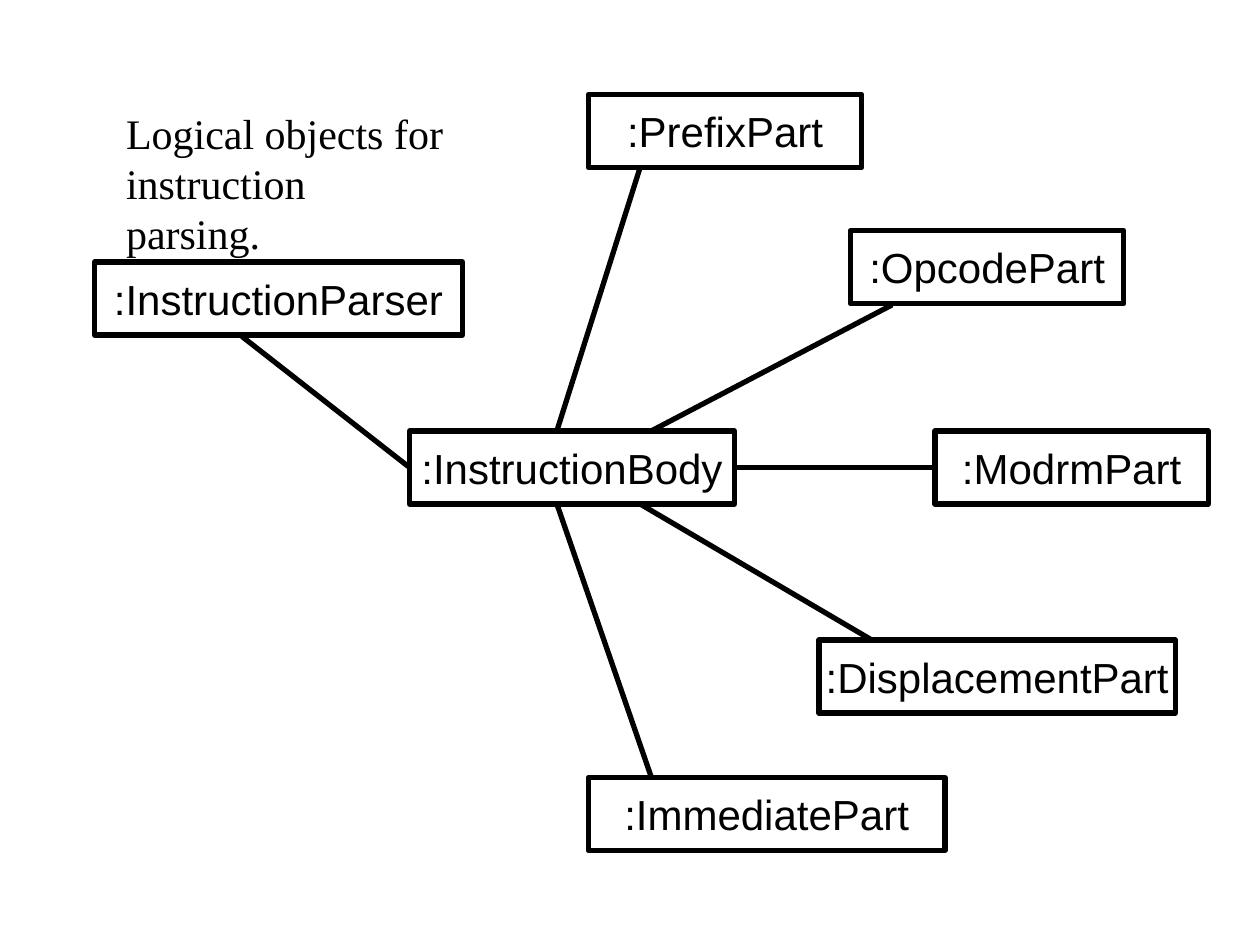
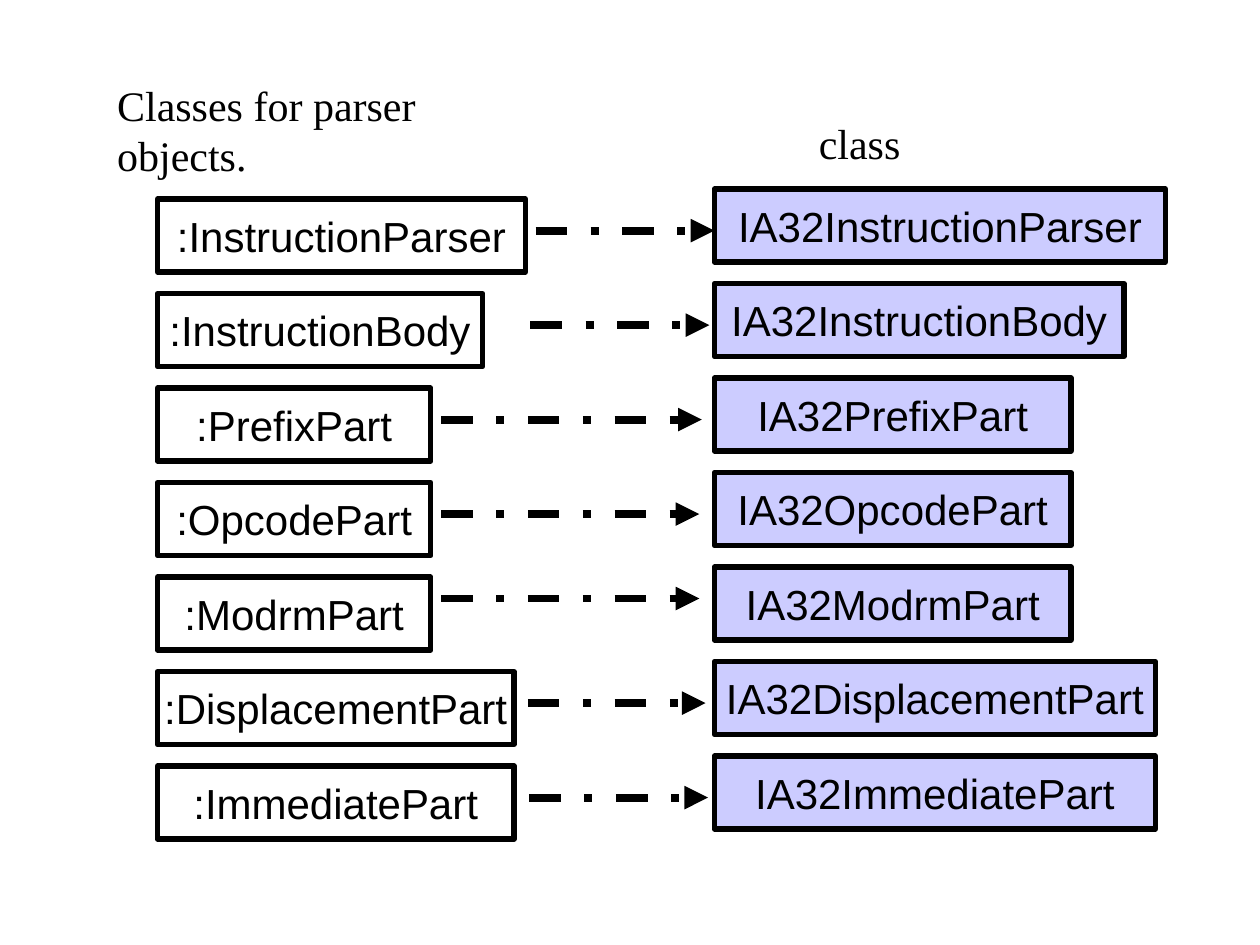
"""Build two slides on the objects and classes of an instruction parser."""
from dataclasses import dataclass

from lxml import etree
from pptx import Presentation
from pptx.dml.color import RGBColor
from pptx.enum import dml, shapes, text
from pptx.oxml import ns
from pptx.util import Inches, Pt


@dataclass(frozen=True)
class Theme:
    """Colours, fonts and sizes that the slides share."""
    ink: RGBColor = RGBColor(0, 0, 0)
    plain: RGBColor = RGBColor(255, 255, 255)
    tint: RGBColor = RGBColor(0xCC, 0xCC, 0xFF)
    sans: str = "Arial"
    serif: str = "Times New Roman"
    size: float = 24
    edge: float = 3
    dash: float = 4.5
    high: float = 0.58


LOOK = Theme()
TOP, LEFT, BOTTOM, RIGHT = range(4)


def write(frame, words, font=LOOK.serif, align=text.PP_ALIGN.LEFT,
          anchor=text.MSO_ANCHOR.TOP):
    """Fill a text frame with one paragraph for each line of words."""
    frame.word_wrap = False
    frame.auto_size = text.MSO_AUTO_SIZE.NONE
    frame.vertical_anchor = anchor
    frame.text = words
    for para in frame.paragraphs:
        para.alignment = align
        para.font.name = font
        para.font.size = Pt(LOOK.size)
        para.font.color.rgb = LOOK.ink


def start(deck, words, *place):
    """Add a slide with its title at the given place."""
    slide = deck.slides.add_slide(deck.slide_layouts[5])
    title = slide.shapes.title
    title.left, title.top, title.width, title.height = map(Inches, place)
    write(title.text_frame, words)
    return slide


def label(slide, words, *place):
    """Add a free text label."""
    write(slide.shapes.add_textbox(*map(Inches, place)).text_frame, words)


def box(slide, words, left, top, width, fill=LOOK.plain):
    """Add an outlined box with a centred name."""
    shape = slide.shapes.add_shape(
        shapes.MSO_SHAPE.RECTANGLE,
        *map(Inches, (left, top, width, LOOK.high)))
    shape.shadow.inherit = False
    shape.fill.solid()
    shape.fill.fore_color.rgb = fill
    shape.line.color.rgb = LOOK.ink
    shape.line.width = Pt(LOOK.edge)
    write(shape.text_frame, words, font=LOOK.sans,
          align=text.PP_ALIGN.CENTER, anchor=text.MSO_ANCHOR.MIDDLE)
    return shape


def link(slide, x1, y1, x2, y2, width=LOOK.edge):
    """Add a straight line without a shadow."""
    line = slide.shapes.add_connector(
        shapes.MSO_CONNECTOR.STRAIGHT, *map(Inches, (x1, y1, x2, y2)))
    line.line.color.rgb = LOOK.ink
    line.line.width = Pt(width)
    etree.SubElement(line._element.spPr, ns.qn("a:effectLst"))
    return line


def arrow(slide, x1, x2, y):
    """Add a level dash-dot arrow that points right."""
    line = link(slide, x1, y, x2, y, width=LOOK.dash).line
    line.dash_style = dml.MSO_LINE.DASH_DOT
    etree.SubElement(line._get_or_add_ln(), ns.qn("a:tailEnd"), type="triangle")


def objects(deck):
    """Draw the logical objects and their links."""
    slide = start(deck, "Logical objects for\ninstruction parsing.",
                  0.9, 0.8, 2.77, 0.9)
    box(slide, ":InstructionParser", 0.75, 2.08, 2.92)
    body = box(slide, ":InstructionBody", 3.25, 3.42, 2.58)
    modrm = box(slide, ":ModrmPart", 7.42, 3.42, 2.17)
    for name, left, top, width in (
            (":OpcodePart", 6.75, 1.83, 2.17),
            (":PrefixPart", 4.67, 0.75, 2.17),
            (":DisplacementPart", 6.5, 5.08, 2.83),
            (":ImmediatePart", 4.67, 6.17, 2.83)):
        box(slide, name, left, top, width)
    for ends in ((4.42, 3.42, 5.08, 1.33), (5.17, 3.42, 7.08, 2.42),
                 (5.08, 4, 6.92, 5.08), (4.42, 4, 5.17, 6.17)):
        link(slide, *ends)
    across = link(slide, 5.83, 3.71, 7.42, 3.71)
    across.begin_connect(body, RIGHT)
    across.end_connect(modrm, LEFT)
    link(slide, 1.92, 2.67, 3.25, 3.71).end_connect(body, LEFT)


def classes(deck):
    """Pair each object with its class, row by row."""
    slide = start(deck, "Classes for parser objects.", 0.83, 0.58, 3.68, 0.5)
    label(slide, "class", 6.4, 0.88, 0.85, 0.5)
    rows = (("InstructionParser", 2.92, 3.58, 4.25, 5.67, 1.83),
            ("InstructionBody", 2.58, 3.25, 4.21, 5.63, 2.58),
            ("PrefixPart", 2.17, 2.83, 3.5, 5.57, 3.33),
            ("OpcodePart", 2.17, 2.83, 3.5, 5.55, 4.08),
            ("ModrmPart", 2.17, 2.83, 3.5, 5.55, 4.75),
            ("DisplacementPart", 2.83, 3.5, 4.19, 5.6, 5.58),
            ("ImmediatePart", 2.83, 3.5, 4.2, 5.62, 6.33))
    for row, (name, wide, span, tail, tip, y) in enumerate(rows):
        top = 1.5 + 0.75 * row
        box(slide, f":{name}", 1.25, top + 0.08, wide)
        box(slide, f"IA32{name}", 5.67, top, span, fill=LOOK.tint)
        arrow(slide, tail, tip, y)


def main():
    """Build and save the deck."""
    deck = Presentation()
    deck.slide_width, deck.slide_height = Inches(10), Inches(7.5)
    objects(deck)
    classes(deck)
    deck.save("out.pptx")


if __name__ == "__main__":
    main()
